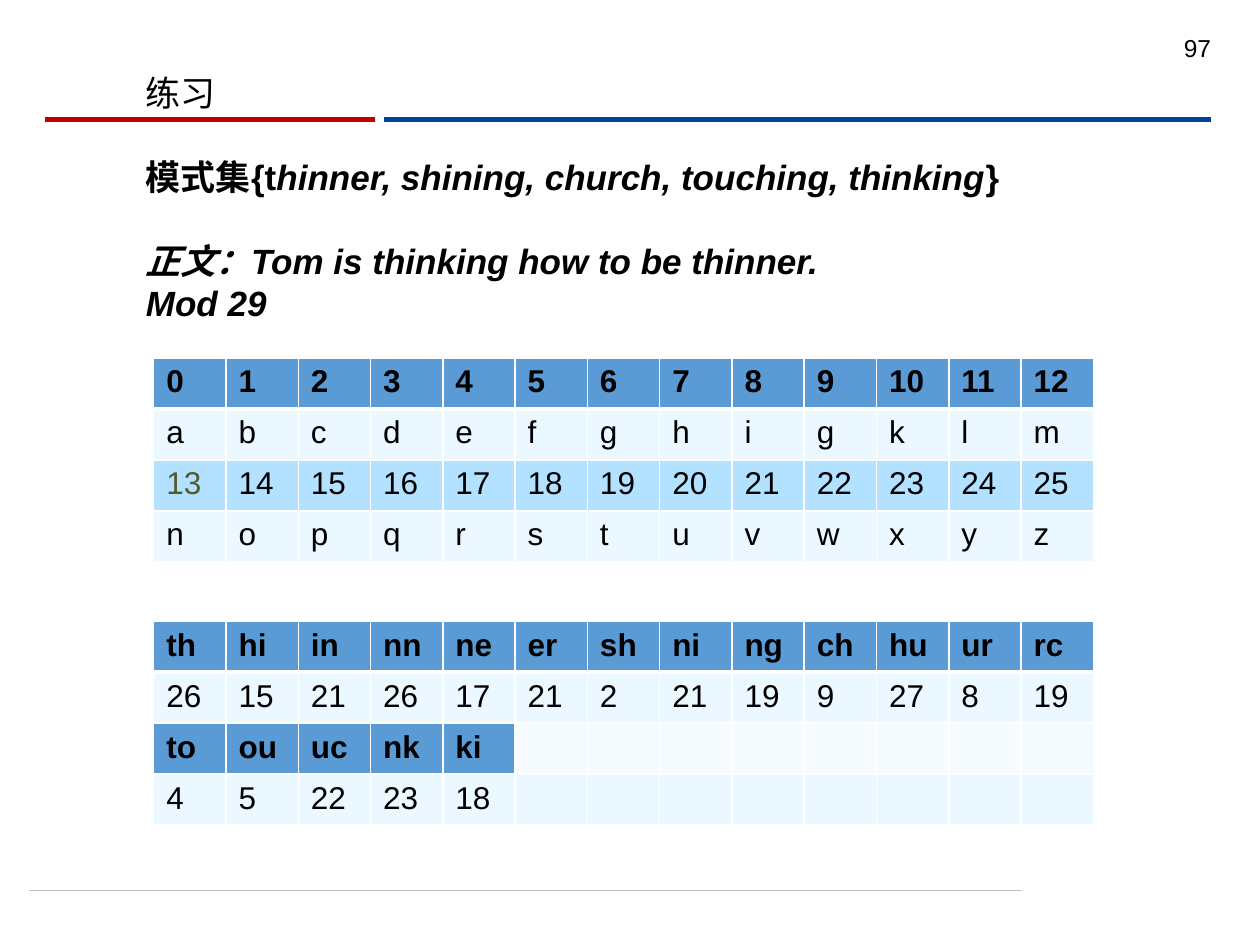
from lxml.etree import SubElement
from pptx import Presentation
from pptx.dml.color import RGBColor
from pptx.enum.shapes import MSO_CONNECTOR
from pptx.enum.text import PP_ALIGN
from pptx.oxml.ns import qn
from pptx.util import Inches, Pt

BLACK = RGBColor(0x00, 0x00, 0x00)
WHITE = RGBColor(0xFF, 0xFF, 0xFF)
OLIVE = RGBColor(0x59, 0x58, 0x2D)
RED = RGBColor(0xC0, 0x00, 0x00)
NAVY = RGBColor(0x00, 0x42, 0x99)
GREY = RGBColor(0xBF, 0xBF, 0xBF)
HEAD_BLUE = RGBColor(0x5B, 0x9B, 0xD5)
BAND_BLUE = RGBColor(0xB2, 0xE2, 0xFF)
PALE_BLUE = RGBColor(0xEC, 0xF8, 0xFF)
FAINT_BLUE = RGBColor(0xF6, 0xFB, 0xFF)

COLUMNS = 13
LETTER_ROWS = [
    [str(n) for n in range(13)],
    list("abcdefghigklm"),
    [str(n) for n in range(13, 26)],
    list("nopqrstuvwxyz"),
]
PAIR_ROWS = [
    "th hi in nn ne er sh ni ng ch hu ur rc".split(),
    "26 15 21 26 17 21 2 21 19 9 27 8 19".split(),
    "to ou uc nk ki".split(),
    "4 5 22 23 18".split(),
]


def add_run(paragraph, text, size, color=BLACK, **styles):
    run = paragraph.add_run()
    run.text = text
    run.font.color.rgb = color
    formats = {"name": "Arial", "size": Pt(size), **styles}
    for attribute, value in formats.items():
        setattr(run.font, attribute, value)


def add_rule(slide, start, end, y, color, width):
    rule = slide.shapes.add_connector(
        MSO_CONNECTOR.STRAIGHT, Inches(start), Inches(y), Inches(end), Inches(y))
    rule.line.color.rgb = color
    rule.line.width = Pt(width)
    SubElement(rule._element.spPr, qn("a:effectLst"))


def add_text_frame(slide, left, top, width, height):
    box = slide.shapes.add_textbox(
        Inches(left), Inches(top), Inches(width), Inches(height))
    box.text_frame.word_wrap = True
    return box.text_frame


def add_page_number(slide, left, top, width, height):
    number = add_text_frame(slide, left, top, width, height).paragraphs[0]
    number.alignment = PP_ALIGN.RIGHT
    add_run(number, "97", 14)


def add_exercise(slide, left, top, width, height):
    bold = {"bold": True}
    slanted = {"bold": True, "italic": True}
    # Each line: space before in points, then its runs
    lines = [
        (0, [("练习", {})]),
        (24, [("模式集{t", bold),
              ("hinner, shining, church, touching, thinking", slanted),
              ("}", bold)]),
        (24, [("正文：Tom is thinking how to be thinner.", slanted)]),
        (0, [("Mod 29", slanted)]),
    ]
    frame = add_text_frame(slide, left, top, width, height)
    for index, (gap, runs) in enumerate(lines):
        line = frame.add_paragraph() if index else frame.paragraphs[0]
        line.line_spacing = Pt(24)
        line.space_before = Pt(gap)
        for text, styles in runs:
            add_run(line, text, 20, **styles)


def set_borders(cell, top, bottom):
    properties = cell._tc.get_or_add_tcPr()
    for side, width in {"L": 1, "R": 1, "T": top, "B": bottom}.items():
        border = SubElement(properties, qn(f"a:ln{side}"), w=str(Pt(width)))
        fill = SubElement(border, qn("a:solidFill"))
        SubElement(fill, qn("a:srgbClr"), val=str(WHITE))


def add_code_table(slide, left, top, width, height, rows, fills, head_rows,
                   blank_fill=PALE_BLUE, accents=()):
    table = slide.shapes.add_table(
        len(rows), COLUMNS, Inches(left), Inches(top),
        Inches(width), Inches(height)).table
    table.first_row = table.horz_banding = False
    for r, values in enumerate(rows):
        for c in range(COLUMNS):
            cell = table.cell(r, c)
            set_borders(cell, top=3 if r == 1 else 1, bottom=3 if r == 0 else 1)
            cell.fill.solid()
            filled = c < len(values)
            blank = blank_fill if r in head_rows else fills[r]
            cell.fill.fore_color.rgb = fills[r] if filled else blank
            if filled:
                color = OLIVE if values[c] in accents else BLACK
                add_run(cell.text_frame.paragraphs[0], values[c], 18, color,
                        bold=r in head_rows)


def main():
    deck = Presentation()
    deck.slide_width, deck.slide_height = Inches(10), Inches(7.5)
    slide = deck.slides.add_slide(deck.slide_layouts[6])

    # Footer rule and the two-colour title rule
    add_rule(slide, 0.23, 8.11, 7.07, GREY, 0.5)
    add_rule(slide, 3.05, 9.61, 0.95, NAVY, 3)
    add_rule(slide, 0.36, 2.98, 0.95, RED, 3)

    # Page number, title and exercise text
    add_page_number(slide, 9.1, 0.21, 0.61, 0.52)
    add_exercise(slide, 1.06, 0.52, 7.5, 6.5)

    # Letter codes, then letter-pair codes
    add_code_table(slide, 1.22, 2.84, 7.46, 1.62, LETTER_ROWS,
                   [HEAD_BLUE, PALE_BLUE, BAND_BLUE, PALE_BLUE],
                   head_rows={0}, accents={"13"})
    add_code_table(slide, 1.22, 4.93, 7.46, 1.62, PAIR_ROWS,
                   [HEAD_BLUE, PALE_BLUE, HEAD_BLUE, PALE_BLUE],
                   head_rows={0, 2}, blank_fill=FAINT_BLUE)

    deck.save("out.pptx")


if __name__ == "__main__":
    main()
